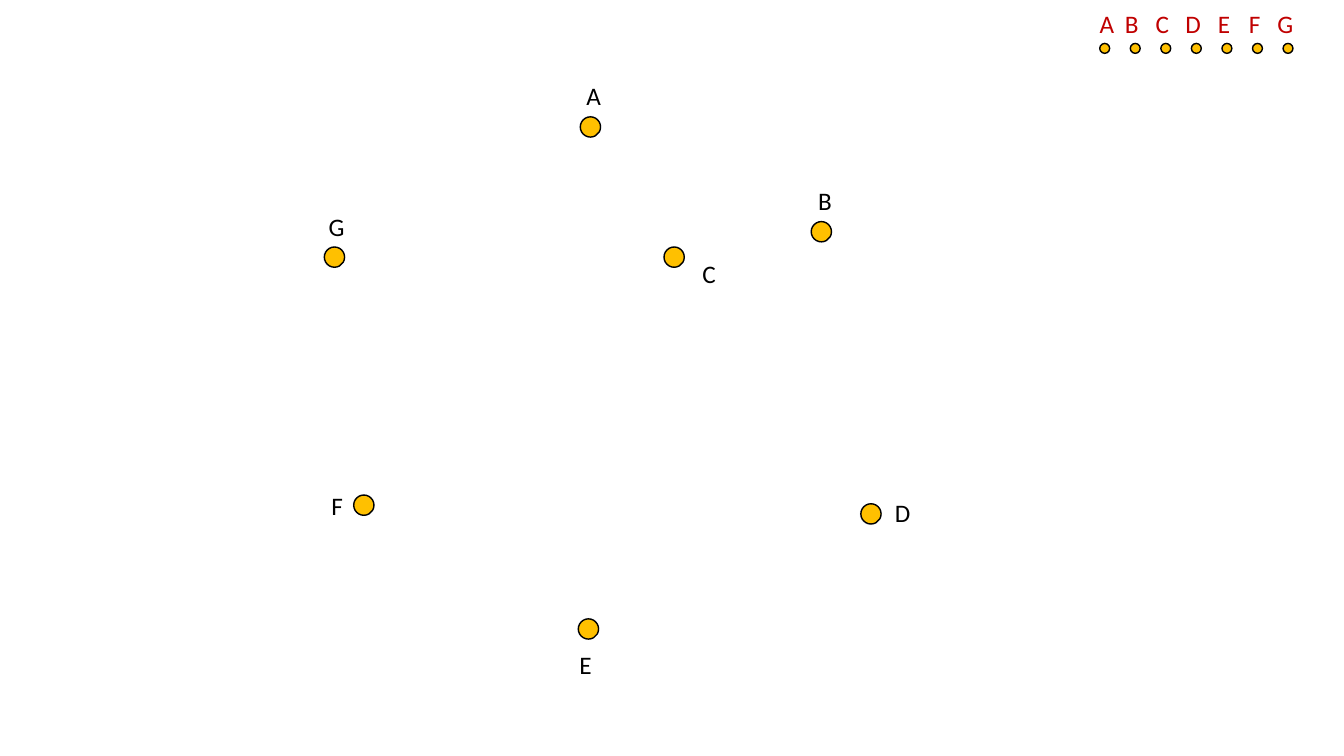
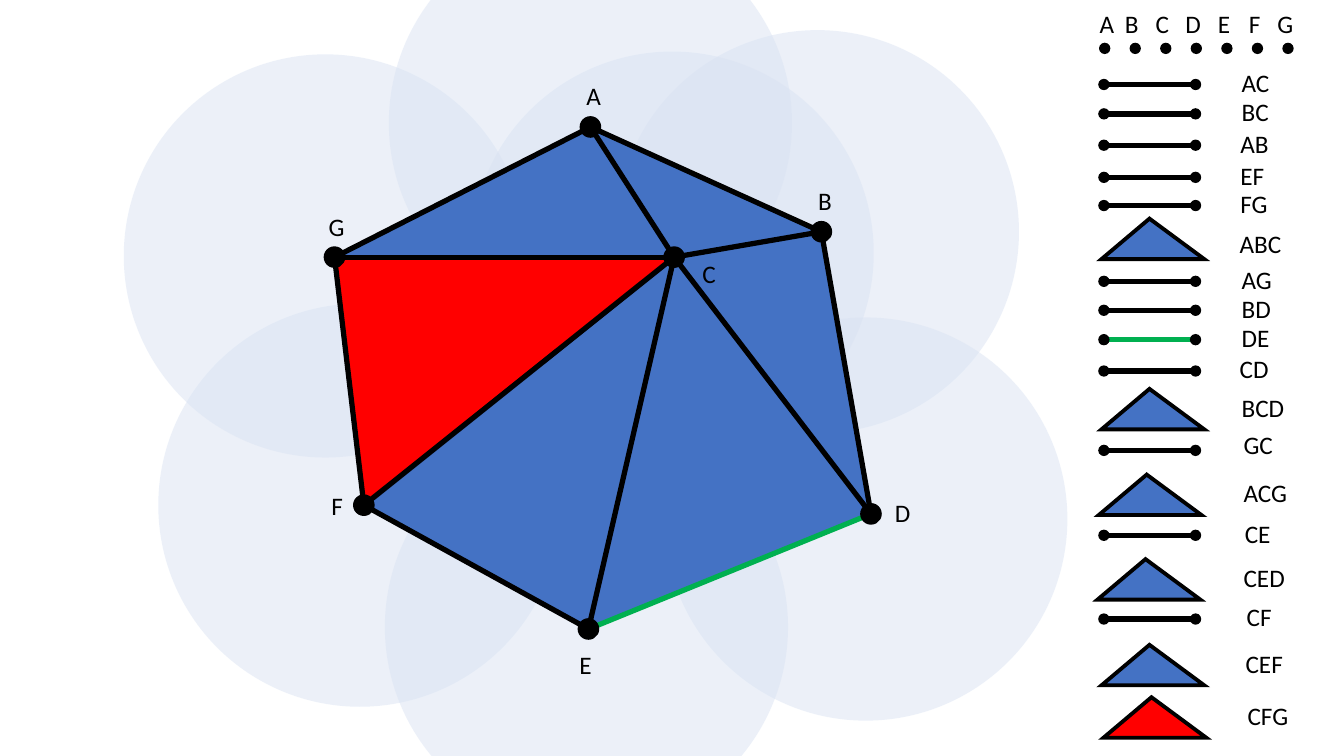
from pptx import Presentation
from pptx.dml.color import RGBColor
from pptx.enum.shapes import MSO_CONNECTOR, MSO_SHAPE
from pptx.enum.text import MSO_ANCHOR
from pptx.oxml.ns import qn
from pptx.util import Cm, Pt
from lxml.etree import SubElement

BLACK, BLUE, RED, GREEN = "000000", "4472C4", "FF0000", "00B050"
AMBER, CRIMSON, PALE = "FFC000", "C00000", "DAE3F3"
DOT, SMALL_DOT, HALO = 0.51, 0.25, 10.16

# point: centre, top left of its label, offset of a full-size halo
POINTS = {
    "B": ((20.7, 5.84), (20.37, 4.55), (-0.1, 0)),
    "C": ((16.99, 6.48), (17.45, 6.38), (-0.05, -0.1)),
    "D": ((21.95, 12.95), (22.3, 12.4), (-0.13, 0.13)),
    "F": ((9.17, 12.73), (8.1, 12.22), (-0.1, 0)),
    "G": ((8.43, 6.48), (8.03, 5.21), (-0.23, -0.03)),
    "A": ((14.88, 3.2), (14.53, 1.91), (0, -0.1)),
    "E": ((14.83, 15.85), (14.35, 16.23), (-0.05, -0.05)),
}
# simplex: middle of its legend mark, left of the mark, left of its label
SIMPLICES = {
    "AC": (2.13, 27.69, 31.04), "BC": (2.87, 27.69, 31.04),
    "AB": (3.66, 27.69, 31.01), "EF": (4.47, 27.69, 31.01),
    "FG": (5.18, 27.69, 31.01), "ABC": (6.02, 27.76, 30.99),
    "AG": (7.09, 27.69, 31.04), "BD": (7.82, 27.69, 31.04),
    "DE": (8.56, 27.69, 31.04), "CD": (9.35, 27.69, 30.99),
    "BCD": (10.31, 27.76, 31.04), "GC": (11.35, 27.69, 31.09),
    "ACG": (12.47, 27.69, 31.09), "CE": (13.49, 27.69, 31.12),
    "CED": (14.6, 27.66, 31.09), "CF": (15.6, 27.69, 31.17),
    "CEF": (16.76, 27.76, 31.14), "CFG": (18.08, 27.81, 31.19),
}
EDGES = [name for name in SIMPLICES if len(name) == 2]
TRIANGLES = [name for name in SIMPLICES if len(name) == 3]
ACCENTS = {"DE": GREEN, "CFG": RED}
LABEL_NUDGE = {"ABC": 0.18, "GC": -0.1}


def rgb(color):
    return RGBColor.from_string(color)


class Deck:
    font = {"name": "Calibri", "size": Pt(18)}
    frame = {"word_wrap": True, "vertical_anchor": MSO_ANCHOR.TOP}

    def __init__(self):
        self.prs = Presentation()
        self.prs.slide_width, self.prs.slide_height = Cm(33.87), Cm(19.05)

    def new_slide(self):
        self.s = self.prs.slides.add_slide(self.prs.slide_layouts[6])

    def paint(self, sp, fill, width=1):
        """Fill a shape and give it a black, sharp-cornered outline."""
        sp.shadow.inherit = False
        sp.fill.solid()
        sp.fill.fore_color.rgb = rgb(fill)
        if not width:
            sp.line.fill.background()
            return
        sp.line.color.rgb = rgb(BLACK)
        sp.line.width = Pt(width)
        SubElement(sp._element.spPr.find(qn("a:ln")), qn("a:miter"), lim="800000")

    def circle(self, center, size, fill, width=1):
        x, y = (Cm(c - size / 2) for c in center)
        sp = self.s.shapes.add_shape(MSO_SHAPE.OVAL, x, y, Cm(size), Cm(size))
        self.paint(sp, fill, width)
        return sp

    def halo(self, center, size):
        sp = self.circle(center, size, PALE, 0)
        color = sp._element.spPr.find(qn("a:solidFill")).find(qn("a:srgbClr"))
        SubElement(color, qn("a:alpha"), val="50000")

    def line(self, start, end, color):
        ends = [Cm(c) for c in (*start, *end)]
        cn = self.s.shapes.add_connector(MSO_CONNECTOR.STRAIGHT, *ends)
        cn.line.color.rgb = rgb(color)
        cn.line.width = Pt(3.75)
        SubElement(cn._element.spPr, qn("a:effectLst"))

    def polygon(self, corners, fill):
        first, *rest = [(Cm(x), Cm(y)) for x, y in corners]
        builder = self.s.shapes.build_freeform(*first)
        builder.add_line_segments(rest, close=True)
        self.paint(builder.convert_to_shape(), fill)

    def triangle_mark(self, x, y, fill):
        sp = self.s.shapes.add_shape(MSO_SHAPE.ISOSCELES_TRIANGLE,
                                     Cm(x), Cm(y - 0.51), Cm(2.59), Cm(1.02))
        sp.adjustments[0] = 0.467
        self.paint(sp, fill, 2.75)

    def text(self, x, y, words, color=BLACK, width=1.8, tabs=()):
        """Write one line of text, with centred tab stops where given."""
        tf = self.s.shapes.add_textbox(Cm(x), Cm(y), Cm(width), Cm(1.02)).text_frame
        for key, value in self.frame.items():
            setattr(tf, key, value)
        p = tf.paragraphs[0]
        if tabs:
            stops = SubElement(p._p.get_or_add_pPr(), qn("a:tabLst"))
            for stop in tabs:
                SubElement(stops, qn("a:tab"), pos=str(Cm(stop)), algn="ctr")
        r = p.add_run()
        r.text = words
        for key, value in self.font.items():
            setattr(r.font, key, value)
        r.font.color.rgb = rgb(color)

    def halos(self, size):
        for (x, y), _, (dx, dy) in POINTS.values():
            scale = size / HALO
            self.halo((x + dx * scale, y + dy * scale), size)

    def points(self, fill):
        for name, (center, label, _) in POINTS.items():
            self.circle(center, DOT, fill)
            self.text(*label, name)

    def point_legend(self, fill, color):
        for i in range(len(POINTS)):
            self.circle((27.84 + 0.77 * i, 1.22), SMALL_DOT, fill)
        tabs = [0.81 + 0.775 * i for i in range(len(POINTS) - 1)]
        self.text(27.46, 0.08, "\t".join(sorted(POINTS)), color, 5.9, tabs)

    def mesh(self):
        for name in TRIANGLES:
            self.polygon([POINTS[c][0] for c in name], ACCENTS.get(name, BLUE))
        for name in EDGES:
            start, end = (POINTS[c][0] for c in name)
            self.line(start, end, ACCENTS.get(name, BLACK))

    def simplex_legend(self):
        for name, (y, mark_x, label_x) in SIMPLICES.items():
            if name in TRIANGLES:
                self.triangle_mark(mark_x, y, ACCENTS.get(name, BLUE))
            else:
                start, end = (mark_x + 0.13, y), (mark_x + 2.44, y)
                self.line(start, end, ACCENTS.get(name, BLACK))
                for center in (start, end):
                    self.circle(center, SMALL_DOT, BLACK)
            self.text(label_x, y - 0.56 + LABEL_NUDGE.get(name, 0), name)


def main():
    deck = Deck()

    deck.new_slide()
    deck.halos(0.56)
    deck.points(AMBER)
    deck.point_legend(AMBER, CRIMSON)

    deck.new_slide()
    deck.halos(HALO)
    deck.mesh()
    deck.points(BLACK)
    deck.point_legend(BLACK, BLACK)
    deck.simplex_legend()

    deck.prs.save("out.pptx")


if __name__ == "__main__":
    main()
